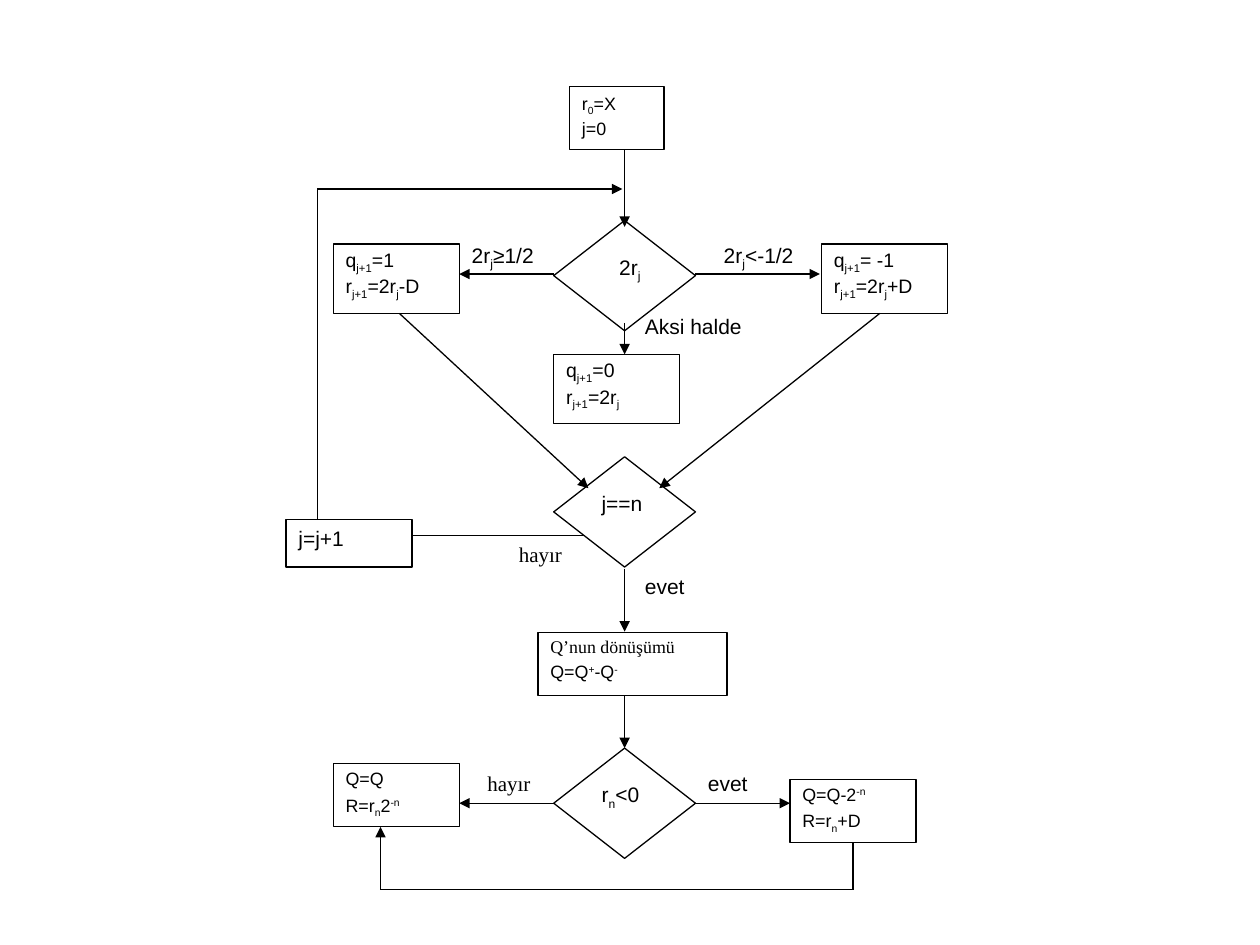
"""Build a flowchart slide of the SRT division algorithm."""
from lxml import etree
from pptx import Presentation, util as u
from pptx.dml.color import RGBColor
from pptx.enum import shapes, text
from pptx.oxml.ns import qn

BLACK = RGBColor(0, 0, 0)
WHITE = RGBColor(255, 255, 255)
SANS, SERIF = "Arial", "Times New Roman"
CELL, MARGIN = 0.125, 0.02
SHIFTS = {"_": "-25000", "^": "30000"}


def write(para, content, size=12, font=SANS, color=BLACK, spacing=1.0, before=0, indent=0):
    """Write content where _ lowers and ^ raises text up to the next bar."""
    para.alignment = text.PP_ALIGN.LEFT
    para.line_spacing = spacing
    para.space_before = u.Pt(before)
    para._p.get_or_add_pPr().set("indent", str(u.Inches(indent)))
    for chunk in content.split("|"):
        mark = next((sign for sign in SHIFTS if sign in chunk), "_")
        plain, _, shifted = chunk.partition(mark)
        for words, shift in ((plain, None), (shifted, SHIFTS[mark])):
            if words:
                span = para.add_run()
                span.text = words
                span.font.size, span.font.name = u.Pt(size), font
                span.font.color.rgb = color
                if shift:
                    span.font._element.set("baseline", shift)


class Flowchart:
    """Hold the grid, the line style and the current page."""

    def __init__(self, page, weight=0.75):
        self.page, self.weight = page, u.Pt(weight)

    def x(self, column):
        return u.Inches(MARGIN + column * CELL)

    def y(self, row):
        return u.Inches(row * CELL)

    def place(self, column, row, columns, rows):
        return self.x(column), self.y(row), u.Inches(columns * CELL), u.Inches(rows * CELL)

    def fill_text(self, box, lines, fonts=(SANS, SANS), **style):
        frame = box.text_frame
        frame.word_wrap = True
        frame.vertical_anchor = text.MSO_ANCHOR.TOP
        for index, (content, font) in enumerate(zip(lines, fonts)):
            para = frame.add_paragraph() if index else frame.paragraphs[0]
            write(para, content, font=font, before=3 if index else 0, **style)

    def node(self, kind, area, *lines, **style):
        box = self.page.shapes.add_shape(kind, *self.place(*area))
        box.shadow.inherit = False
        box.fill.solid()
        box.fill.fore_color.rgb = WHITE
        box.line.color.rgb, box.line.width = BLACK, self.weight
        self.fill_text(box, lines, **style)

    def step(self, area, *lines, **style):
        self.node(shapes.MSO_SHAPE.RECTANGLE, area, *lines, **style)

    def decision(self, row, content, **style):
        self.node(shapes.MSO_SHAPE.DIAMOND, (35, row, 9, 7), content, **style)

    def label(self, column, row, columns, content, font=SANS):
        box = self.page.shapes.add_textbox(*self.place(column, row, columns, 4))
        self.fill_text(box, [content], fonts=[font])

    def path_through(self, *points, arrow=True):
        for start, end in zip(points, points[1:]):
            line = self.page.shapes.add_connector(
                shapes.MSO_CONNECTOR.STRAIGHT,
                self.x(start[0]), self.y(start[1]), self.x(end[0]), self.y(end[1]))
            line.line.color.rgb, line.line.width = BLACK, self.weight
            if arrow and end == points[-1]:
                etree.SubElement(line.line._get_or_add_ln(), qn("a:tailEnd"), type="triangle")
            etree.SubElement(line._element.spPr, qn("a:effectLst"))


def main():
    deck = Presentation()
    deck.slide_width, deck.slide_height = u.Inches(10), u.Inches(7.5)
    chart = Flowchart(deck.slides.add_slide(deck.slide_layouts[6]))
    compact = {"size": 10.2, "spacing": 0.9}
    tight = {"size": 11.1, "spacing": 0.8}
    axis = 39.5

    chart.path_through((37, 34), (22, 34), arrow=False)
    chart.path_through((20, 34), (20, 12), (39.35, 12))

    chart.decision(14, "2r_j", indent=0.14)
    chart.decision(29, "j==n")
    chart.decision(47.5, "r_n|<0")

    chart.step((36, 5.5, 6, 4), "r_0|=X", "j=0", **compact)
    for column, row, digit, change in ((21, 15.5, "1", "-D"), (52, 15.5, " -1", "+D"),
                                       (35, 22.5, "0", "")):
        chart.step((column, row, 8, 4.4), f"q_j+1|={digit}", f"r_j+1|=2r_j|{change}", **tight)
    chart.step((18, 33, 8, 3), "j=j+1")
    chart.step((34, 40.15, 12, 4), "Q’nun dönüşümü", "Q=Q^+|-Q^-", fonts=(SERIF, SANS), **compact)
    chart.step((21, 48.5, 8, 4), "Q=Q", "R=r_n|2^-n", **compact)
    chart.step((50, 49.5, 8, 4), "Q=Q-2^-n", "R=r_n|+D", **compact)

    for top, bottom in ((9.5, 14.4), (20.5, 22.5), (36.1, 40.1), (44.15, 47.5)):
        chart.path_through((axis, top), (axis, bottom))
    for row, right in ((17.4, 51.9), (51, 50)):
        chart.path_through((35, row), (29, row))
        chart.path_through((44, row), (right, row))
    chart.path_through((25.2, 19.9), (37.2, 31))
    chart.path_through((55.7, 19.9), (41.7, 31))
    chart.path_through((54, 53.5), (54, 56.5), (24, 56.5), (24, 52.5))

    chart.label(29, 15, 7, "2r_j|≥1/2")
    chart.label(45, 15, 7.5, "2r_j|<-1/2")
    chart.label(40, 19.5, 8, "Aksi halde")
    for column, row in ((32, 34), (30, 48.5)):
        chart.label(column, row, 5, "hayır", SERIF)
    for column, row in ((40, 36), (44, 48.5)):
        chart.label(column, row, 5, "evet")

    deck.save("out.pptx")


if __name__ == "__main__":
    main()
